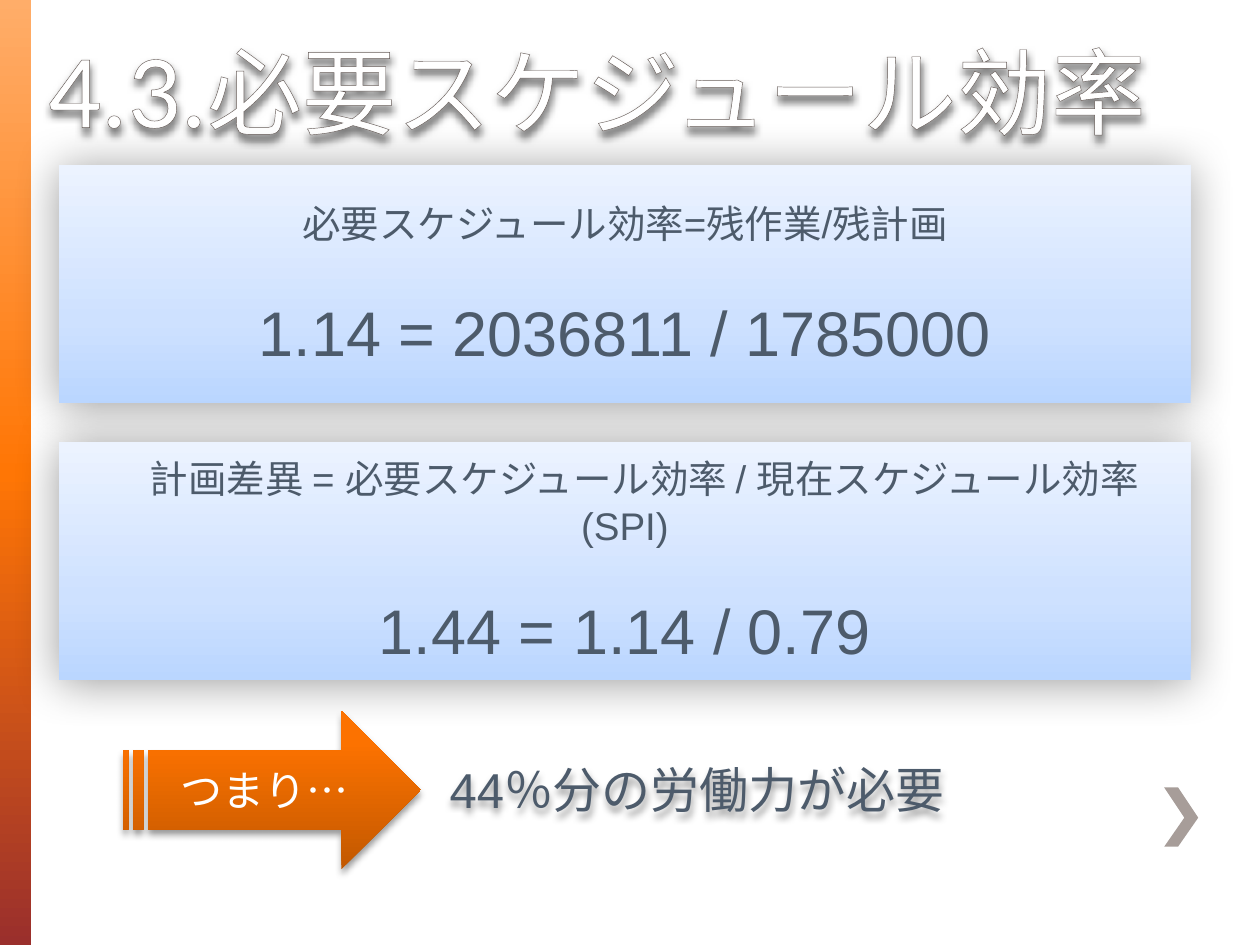
from lxml import etree
from pptx import Presentation
from pptx.dml.color import RGBColor
from pptx.enum import shapes, text
from pptx.oxml.ns import qn
from pptx.util import Inches, Pt

WHITE = RGBColor(0xFF, 0xFF, 0xFF)
SLATE = RGBColor(0x4D, 0x5B, 0x6B)
TAUPE = RGBColor(0xA7, 0x9D, 0x99)
EDGE = RGBColor(0x67, 0x5D, 0x59)
BLACK = RGBColor(0, 0, 0)
FLAME = RGBColor(0xFF, 0x76, 0x05)
BRICK = RGBColor(0x9A, 0x2F, 0x2C)
PEACH = RGBColor(0xFF, 0xAD, 0x69)
BLUES = [(0, RGBColor(0xBA, 0xD6, 0xFF)), (35, RGBColor(0xCE, 0xE1, 0xFF)),
         (100, RGBColor(0xEC, 0xF3, 0xFF))]
ORANGES = [(0, RGBColor(0xC2, 0x58, 0x00)), (80, RGBColor(0xFC, 0x72, 0x00)),
           (100, RGBColor(0xFD, 0x72, 0x00))]
BAND = [(0, PEACH), (50, FLAME), (100, BRICK)]


def tint(parent, color, alpha=None):
    node = etree.SubElement(parent, qn("a:srgbClr"), val=str(color))
    if alpha is not None:
        etree.SubElement(node, qn("a:alpha"), val=str(alpha * 1000))


def shade(shape, alpha, blur, dist):
    """Cast a black shadow straight down; blur and dist are in points."""
    shape.shadow.inherit = False
    effects = shape.element.spPr.find(qn("a:effectLst"))
    node = etree.SubElement(effects, qn("a:outerShdw"), blurRad=str(Pt(blur)),
                            dist=str(Pt(dist)), dir="5400000", rotWithShape="0")
    tint(node, BLACK, alpha)


def blend(shape, stops, angle):
    """Fill with a gradient; angle runs counter-clockwise."""
    shape.fill.gradient()
    shape.fill.gradient_angle = angle
    ramp = shape.element.spPr.find(".//" + qn("a:gsLst"))
    for old in list(ramp):
        ramp.remove(old)
    for pos, color in stops:
        tint(etree.SubElement(ramp, qn("a:gs"), pos=str(pos * 1000)), color)


def add_block(slide, kind, box, stops, angle=90):
    shape = slide.shapes.add_shape(kind, *map(Inches, box))
    shape.line.fill.background()
    shape.shadow.inherit = False
    blend(shape, stops, angle)
    return shape


def write(shape, lines, font="Arial", color=SLATE, align=text.PP_ALIGN.CENTER,
          anchor=text.MSO_ANCHOR.MIDDLE, gap=0):
    """Each line is a list of (words, size) runs; gap is points between lines."""
    frame = shape.text_frame
    frame.word_wrap = True
    frame.vertical_anchor = anchor
    for i, runs in enumerate(lines):
        para = frame.add_paragraph() if i else frame.paragraphs[0]
        para.alignment = align
        para.space_before = Pt(gap if i else 0)
        for words, size in runs:
            run = para.add_run()
            run.text = words
            run.font.name = font
            run.font.size = Pt(size)
            run.font.color.rgb = color
    return frame


def outline(frame, color):
    for run in frame.paragraphs[0].runs:
        line = etree.Element(qn("a:ln"), w=str(Pt(1)))
        tint(etree.SubElement(line, qn("a:solidFill")), color)
        run.font._element.insert(0, line)


def add_title(slide):
    title = slide.shapes.title
    title.left, title.top = Inches(0.28), Inches(0.13)
    title.width, title.height = Inches(9.37), Inches(1.1)
    frame = write(title, [[("4.3.", 60), ("必要スケジュール効率", 54)]],
                  font="Calibri", color=WHITE, align=text.PP_ALIGN.LEFT,
                  anchor=text.MSO_ANCHOR.BOTTOM)
    frame.auto_size = text.MSO_AUTO_SIZE.NONE
    outline(frame, EDGE)
    shade(title, 50, 4, 3)


def add_panel(slide, top, rule, sums, gap):
    panel = add_block(slide, shapes.MSO_SHAPE.RECTANGLE,
                      (0.47, top, 8.98, 1.89), BLUES)
    shade(panel, 38, 27, 1.6)
    write(panel, [[(rule, 22)], [(sums, 36)]], gap=gap)


def add_chevron(slide):
    points = [(9.24, 6.25), (9.4, 6.49), (9.24, 6.72),
              (9.35, 6.72), (9.51, 6.49)]
    pen = slide.shapes.build_freeform(Inches(9.35), Inches(6.25), scale=1.0)
    pen.add_line_segments([(Inches(x), Inches(y)) for x, y in points])
    mark = pen.convert_to_shape()
    mark.fill.solid()
    mark.fill.fore_color.rgb = TAUPE
    mark.line.fill.background()
    mark.shadow.inherit = False


def add_result(slide):
    arrow = add_block(slide, shapes.MSO_SHAPE.STRIPED_RIGHT_ARROW,
                      (0.98, 5.64, 2.36, 1.26), ORANGES)
    shade(arrow, 40, 4, 3)
    write(arrow, [[("つまり…", 24)]], color=WHITE)
    note = slide.shapes.add_textbox(*map(Inches, (3.47, 5.98, 5.12, 0.57)))
    frame = write(note, [[("44％分の労働力が必要", 28)]],
                  align=text.PP_ALIGN.LEFT, anchor=text.MSO_ANCHOR.TOP)
    frame.auto_size = text.MSO_AUTO_SIZE.SHAPE_TO_FIT_TEXT
    shade(note, 40, 4, 3)


def main():
    deck = Presentation()
    deck.slide_width, deck.slide_height = Inches(10), Inches(7.5)
    slide = deck.slides.add_slide(deck.slide_layouts[5])
    add_block(slide, shapes.MSO_SHAPE.RECTANGLE, (0, 0, 0.25, 7.5), BAND, 270)
    add_chevron(slide)
    add_title(slide)
    add_panel(slide, 1.31, "必要スケジュール効率=残作業/残計画",
              "1.14 = 2036811 / 1785000", 27)
    add_panel(slide, 3.51,
              "　計画差異 = 必要スケジュール効率 / 現在スケジュール効率(SPI)",
              "1.44 = 1.14 / 0.79", 25)
    add_result(slide)
    deck.save("out.pptx")


if __name__ == "__main__":
    main()
